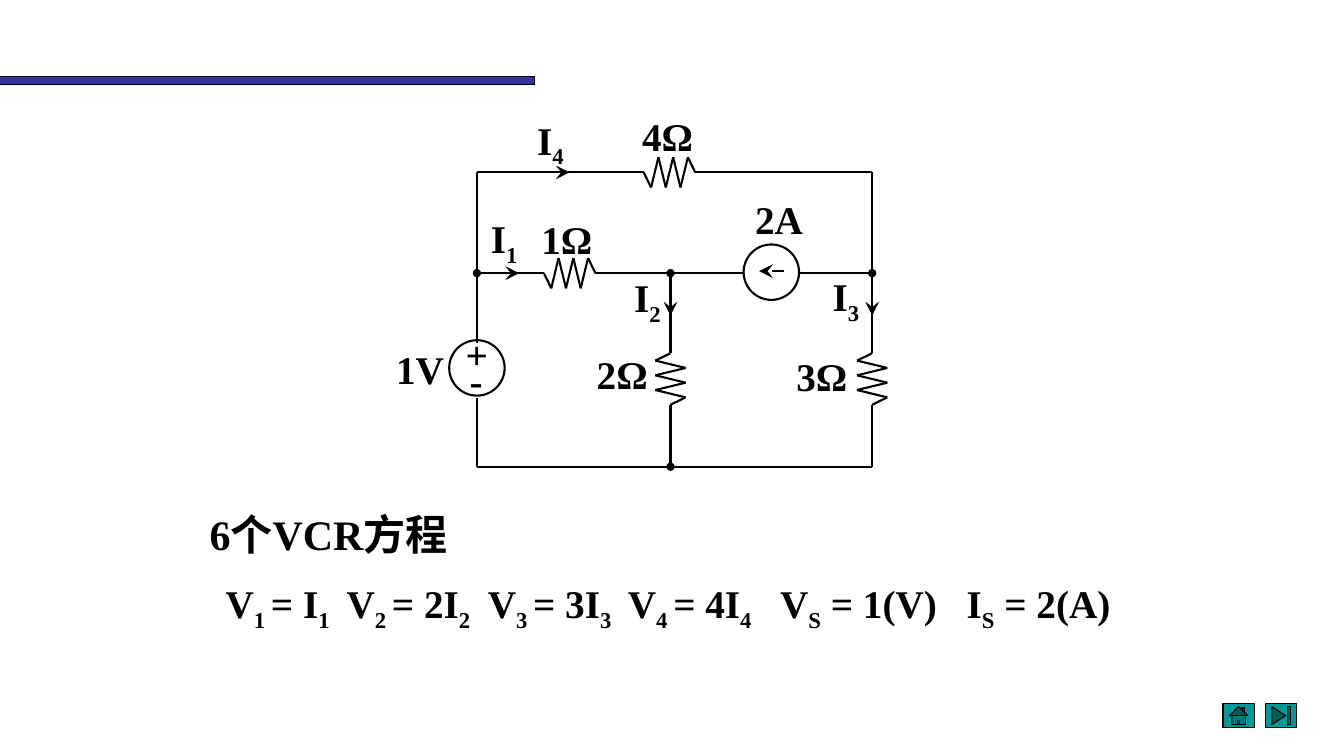
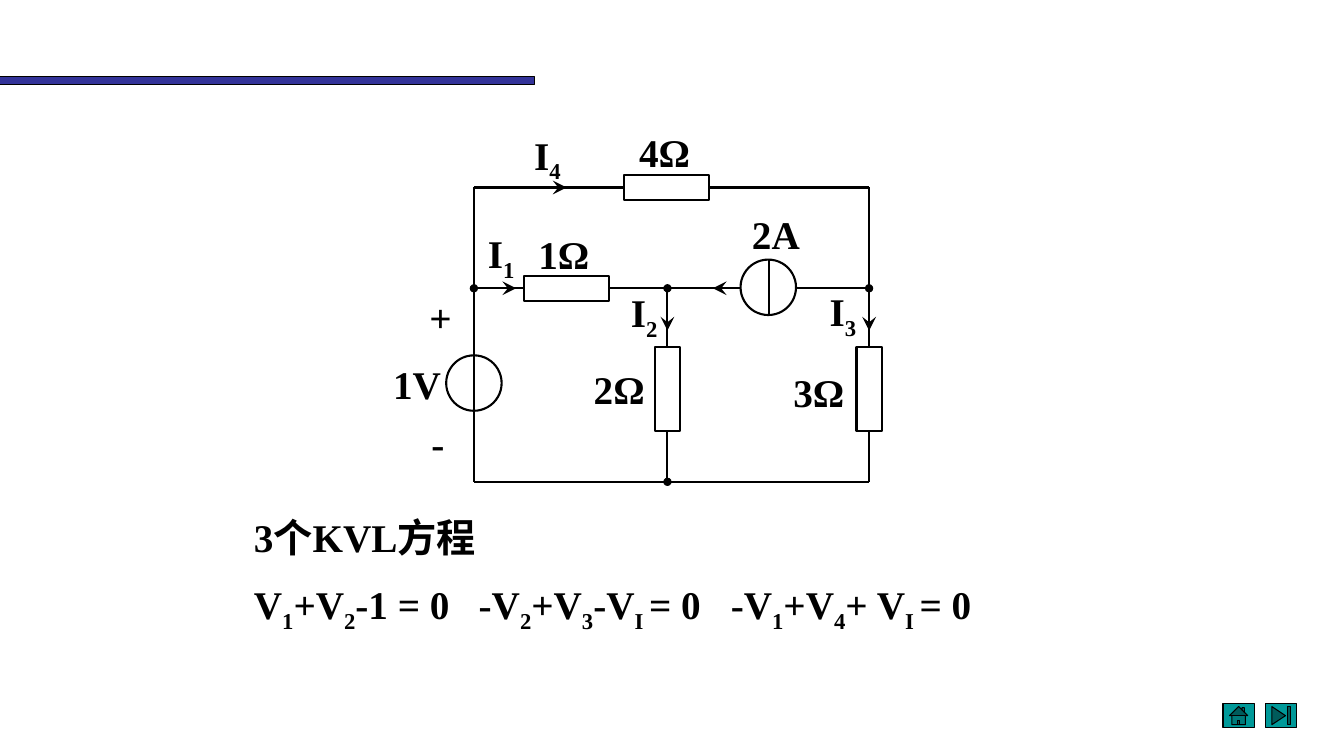
from itertools import pairwise

from lxml import etree
from pptx import Presentation
from pptx.dml.color import RGBColor
from pptx.enum import shapes as kinds, text as txt
from pptx.oxml.ns import qn
from pptx.util import Inches, Pt

BLACK = RGBColor(0x00, 0x00, 0x00)
NAVY = RGBColor(0x33, 0x33, 0x99)
TEAL = RGBColor(0x00, 0x99, 0x99)
FONT = "Times New Roman"
SHAPE = kinds.MSO_SHAPE

# Circuit geometry, measured from the top left corner of each circuit
MID, RIGHT, ROW, BOTTOM = 1.92, 3.92, 1.0, 2.92
SOURCE_SIZE = 0.55
VOLTAGE_SOURCE = (0, 1.94)
CURRENT_SOURCE = (2.92, 0.99)
TEXT_HEIGHT = 0.57

# Resistor branches: centre (None = set per slide), start, end, end marks
BRANCHES = [
    ((1.91, 0), (0, 0), (RIGHT, 0), None, None),
    ((0.92, ROW), (0, ROW), (2.65, ROW), "oval", None),
    ((MID, None), (MID, ROW), (MID, BOTTOM), "oval", "oval"),
    ((RIGHT, None), (RIGHT, 0), (RIGHT, BOTTOM), None, None),
]
WIRES = [
    ((0, BOTTOM), (RIGHT, BOTTOM), None),
    ((3.2, ROW), (RIGHT, ROW), "oval"),
]
CURRENT_ARROWS = [
    ((0.5, 0), (0.92, 0), "stealth"),
    ((0.08, ROW), (0.42, ROW), "stealth"),
    ((MID, 1.17), (MID, 1.42), "stealth"),
    ((RIGHT, 1.17), (RIGHT, 1.42), "stealth"),
]
# Text between underscores is subscript: text, left, top, width
LABELS = [
    ("1V", -0.9, 1.67, 0.79),
    ("2A", 2.66, 0.18, 1.08),
    ("3Ω", 3.07, 1.74, 1.08),
    ("2Ω", 1.09, 1.72, 1.08),
    ("4Ω", 1.54, -0.64, 1.08),
    ("1Ω", 0.54, 0.38, 1.08),
    ("I_4", 0.5, -0.61, 0.67),
    ("I_2", 1.46, 0.95, 0.67),
    ("I_1", 0.04, 0.37, 0.67),
    ("I_3", 3.43, 0.94, 0.67),
]

SLIDES = [
    {
        "corner": (4.73, 1.71),
        "zigzag": True,
        "vertical_centre": 2.05,
        "wires": [
            ((0, 0), (0, 1.69), None),
            ((0, 2.24), (0, BOTTOM), None),
            ((3.05, 0.98), (2.8, 0.98), "stealth"),
        ],
        "polarity": [("-", -0.17, 1.78, 0.52), ("+", -0.21, 1.52, 0.59)],
        "heading": ("6个VCR方程", 1.98, 5.0, 3.46, 30),
        "equations": ["V_1 _= I_1", "V_2 _= 2I_2", "V_3 _= 3I_3",
                      "V_4 _= 4I_4", "V_S_ = 1(V)", "I_S_ = 2(A)"],
        "equations_at": (2.14, 5.7, 9.5),
        "tabs": [1.2, 2.6, 3.99, 5.5, 7.35],
    },
    {
        "corner": (4.7, 1.86),
        "zigzag": False,
        "vertical_centre": 2.0,
        "wires": [
            ((0, 0), (0, BOTTOM), None),
            ((2.93, 0.71), (2.93, 1.26), None),
            ((2.62, ROW), (2.37, ROW), "stealth"),
        ],
        "polarity": [("-", -0.52, 2.25, 0.52), ("+", -0.54, 1.0, 0.59)],
        "heading": ("3个KVL方程", 2.42, 5.04, 4.17, 28),
        "equations": ["V_1_+V_2_-1 = 0", "-V_2_+V_3_-V_I _= 0",
                      "-V_1_+V_4_+ V_I _= 0"],
        "equations_at": (2.42, 5.71, 8.74),
        "tabs": [2.23, 4.73],
    },
]


def outline(shape, width=1.5, fill=None):
    """Black outline with an optional solid fill."""
    shape.shadow.inherit = False
    if fill is None:
        shape.fill.background()
    else:
        shape.fill.solid()
        shape.fill.fore_color.rgb = fill
    shape.line.color.rgb = BLACK
    shape.line.width = Pt(width)


def add_text(slide, content, left, top, width, size=28, tabs=()):
    box = slide.shapes.add_textbox(
        Inches(left), Inches(top), Inches(width), Inches(TEXT_HEIGHT))
    frame = box.text_frame
    frame.word_wrap = True
    frame.auto_size = txt.MSO_AUTO_SIZE.SHAPE_TO_FIT_TEXT
    paragraph = frame.paragraphs[0]
    if tabs:
        properties = paragraph._p.get_or_add_pPr()
        tab_list = etree.SubElement(properties, qn("a:tabLst"))
        for position in tabs:
            etree.SubElement(tab_list, qn("a:tab"),
                             pos=str(Inches(position)), algn="l")
    font = paragraph.font
    font.name, font.size, font.bold = FONT, Pt(size), True
    font.color.rgb = BLACK
    for equation_index, equation in enumerate(content.split("\t")):
        if equation_index:
            paragraph.add_run().text = "\t"
        for index, part in enumerate(equation.split("_")):
            run = paragraph.add_run()
            run.text = part
            if index % 2:
                run._r.get_or_add_rPr().set("baseline", "-25000")


class Circuit:
    def __init__(self, slide, corner):
        self.slide = slide
        self.corner = corner

    def place(self, x, y):
        return Inches(self.corner[0] + x), Inches(self.corner[1] + y)

    def wire(self, start, end, tail=None, head=None):
        line = self.slide.shapes.add_connector(
            kinds.MSO_CONNECTOR.STRAIGHT, *self.place(*start), *self.place(*end))
        line.line.color.rgb = BLACK
        line.line.width = Pt(1.5)
        stroke = line.line._get_or_add_ln()
        for tag, mark in (("a:headEnd", head), ("a:tailEnd", tail)):
            if mark:
                size = "lg" if mark == "stealth" else "med"
                etree.SubElement(stroke, qn(tag), type=mark, w=size, len=size)
        etree.SubElement(line._element.spPr, qn("a:effectLst"))
        return line

    def body(self, kind, centre, width, height):
        x, y = centre
        shape = self.slide.shapes.add_shape(
            kind, *self.place(x - width / 2, y - height / 2),
            Inches(width), Inches(height))
        outline(shape)
        return shape

    def zigzag(self, centre, vertical, half):
        """Resistor with leads: seven strokes between two straight ends."""
        step, swing = 0.073, 0.15
        profile = [(-half, 0)]
        for i in range(8):
            offset = 0 if i in (0, 7) else swing * (-1) ** (i + 1)
            profile.append(((i - 3.5) * step, offset))
        profile.append((half, 0))
        points = []
        for along, across in profile:
            dx, dy = (-across, along) if vertical else (along, across)
            points.append((centre[0] + dx, centre[1] + dy))
        for start, end in pairwise(points):
            self.wire(start, end)

    def branch(self, centre, start, end, head, tail, zigzag):
        vertical = start[0] == end[0]
        half = 0.48 if zigzag else 0.42
        x, y = centre
        if vertical:
            near, far = (x, y - half), (x, y + half)
        else:
            near, far = (x - half, y), (x + half, y)
        incoming = self.wire(start, near, head=head)
        outgoing = self.wire(far, end, tail=tail)
        if zigzag:
            self.zigzag(centre, vertical, half)
            return
        size = (0.25, 2 * half) if vertical else (2 * half, 0.25)
        resistor = self.body(SHAPE.RECTANGLE, centre, *size)
        incoming.end_connect(resistor, 0 if vertical else 1)
        outgoing.begin_connect(resistor, 2 if vertical else 3)


def add_frame(slide):
    """Title band and navigation buttons shared by the slides."""
    for kind, left, top, width, height, fill in (
        (SHAPE.RECTANGLE, 0, 0.76, 5.3, 0.08, NAVY),
        (SHAPE.ACTION_BUTTON_HOME, 12.13, 6.98, 0.31, 0.24, TEAL),
        (SHAPE.ACTION_BUTTON_END, 12.55, 6.98, 0.31, 0.24, TEAL),
    ):
        outline(slide.shapes.add_shape(
            kind, Inches(left), Inches(top), Inches(width), Inches(height)),
            0.75, fill)


def build_slide(prs, content):
    slide = prs.slides.add_slide(prs.slide_layouts[6])
    add_frame(slide)

    # Circuit
    circuit = Circuit(slide, content["corner"])
    for (x, y), start, end, head, tail in BRANCHES:
        centre = (x, content["vertical_centre"] if y is None else y)
        circuit.branch(centre, start, end, head, tail, content["zigzag"])
    for source in (VOLTAGE_SOURCE, CURRENT_SOURCE):
        circuit.body(SHAPE.OVAL, source, SOURCE_SIZE, SOURCE_SIZE)
    for start, end, tail in WIRES + CURRENT_ARROWS + content["wires"]:
        circuit.wire(start, end, tail)
    left, top = content["corner"]
    for label, x, y, width in LABELS + content["polarity"]:
        add_text(slide, label, left + x, top + y, width)

    # Equations
    add_text(slide, *content["heading"])
    add_text(slide, "\t".join(content["equations"]),
             *content["equations_at"], tabs=content["tabs"])


def main():
    prs = Presentation()
    prs.slide_width, prs.slide_height = Inches(13.33), Inches(7.5)
    for content in SLIDES:
        build_slide(prs, content)
    prs.save("out.pptx")


if __name__ == "__main__":
    main()
